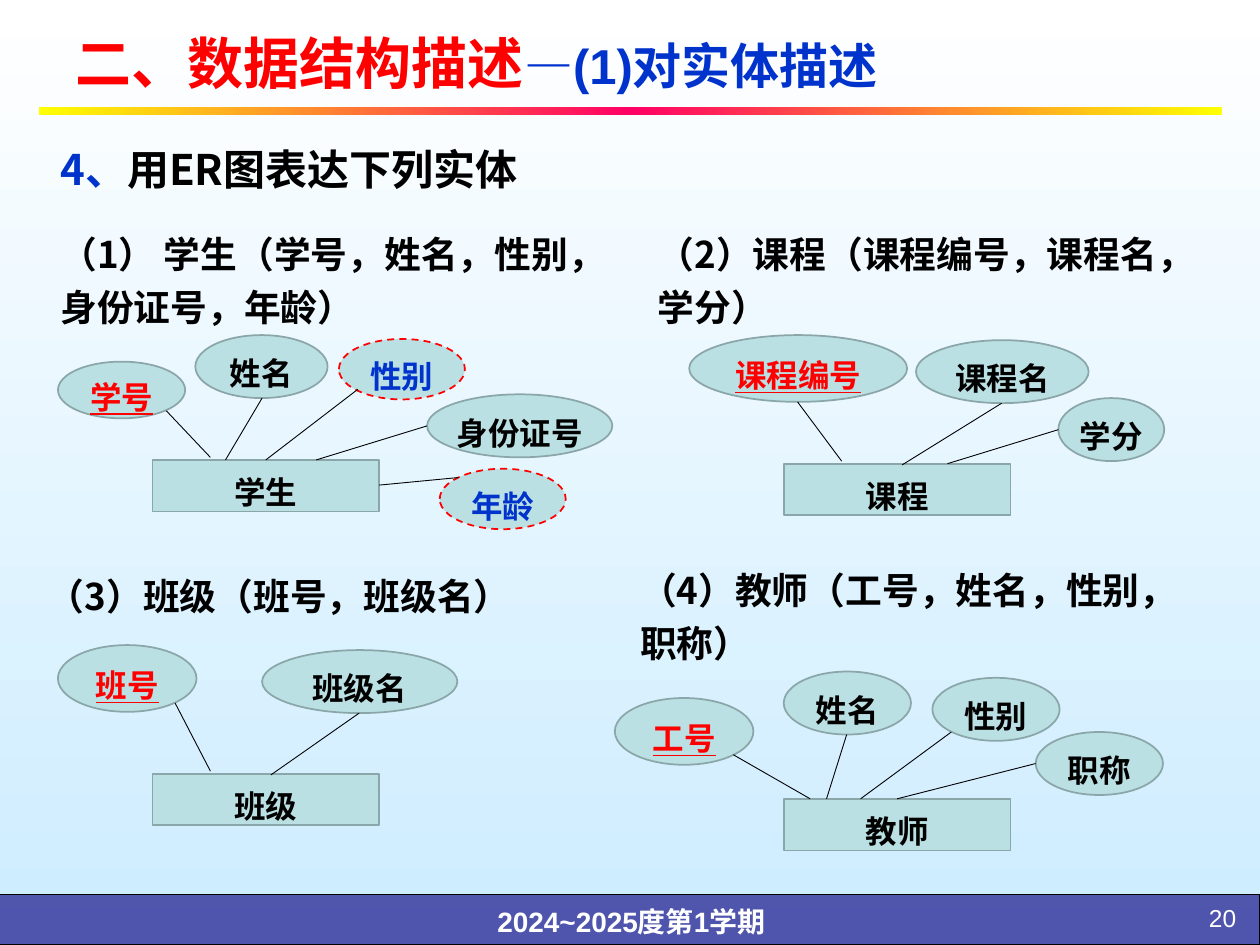
from copy import deepcopy
from lxml import etree
from pptx import Presentation
from pptx.dml.color import RGBColor
from pptx.enum.dml import MSO_LINE
from pptx.enum.shapes import MSO_CONNECTOR, MSO_SHAPE
from pptx.enum.text import MSO_ANCHOR, MSO_AUTO_SIZE, PP_ALIGN
from pptx.oxml.ns import qn
from pptx.util import Inches, Pt

RECT, OVAL = MSO_SHAPE.RECTANGLE, MSO_SHAPE.OVAL
LEFT, MID, RIGHT = PP_ALIGN.LEFT, PP_ALIGN.CENTER, PP_ALIGN.RIGHT
TOP, CENTER = MSO_ANCHOR.TOP, MSO_ANCHOR.MIDDLE
STRAIGHT, DASH, FIXED = MSO_CONNECTOR.STRAIGHT, MSO_LINE.DASH, MSO_AUTO_SIZE.NONE


class Theme:
    sans, cjk = "Arial", "Noto Sans CJK SC"
    head, sub, lead, body, node, foot, page = 32, 28, 24, 21, 18, 16, 14
    black, white, red, blue = "000000", "FFFFFF", "FF0000", "0033CC"
    fill, edge, band, sky = "BBE0E3", "8AA6A8", "333399", "CCECFF"
    glow = ["FFFF00", "FF0066", "FFFF00"]


deck = Presentation()
deck.slide_width, deck.slide_height = Inches(10), Inches(7.5)
cell = deck.slide_width / 100
slide = deck.slides.add_slide(deck.slide_layouts[4])
rgb = RGBColor.from_string


def grid(*nums):
    return [round(n * cell) for n in nums]


def write(shape, runs, size, face=Theme.cjk, align=LEFT, gap=1.0, anchor=TOP, bold=True, under=False):
    frame = shape.text_frame
    frame.auto_size, frame.word_wrap, frame.vertical_anchor = FIXED, True, anchor
    para = frame.paragraphs[0]
    para.alignment, para.line_spacing, para.space_before = align, gap, Pt(0)
    props = para._p.get_or_add_pPr()
    props.set("marL", "0")
    props.set("indent", "0")
    etree.SubElement(props, qn("a:buNone"))
    font = para.font
    font.name, font.size, font.bold, font.underline = face, Pt(size), bold, under
    etree.SubElement(props.find(qn("a:defRPr")), qn("a:ea")).set("typeface", Theme.cjk)
    for text, color, *scale in runs:
        run = para.add_run()
        run.text = text
        run.font.color.rgb = rgb(color)
        if scale:
            run.font.size = Pt(scale[0])


back = slide.background.fill
back.gradient()
back.gradient_angle = 270
for stop, color in zip(back.gradient_stops, [Theme.white, Theme.sky]):
    stop.color.rgb = rgb(color)

band = slide.shapes.add_shape(RECT, *grid(-0.1, 71, 100.1, 4))
band.shadow.inherit = False
band.fill.solid()
band.fill.fore_color.rgb = rgb(Theme.band)
tint = band._element.spPr.find(".//" + qn("a:srgbClr"))
etree.SubElement(tint, qn("a:alpha")).set("val", "81000")
band.line.color.rgb = rgb(Theme.black)
band.line.width = Pt(0.75)

rule = slide.shapes.add_shape(RECT, *grid(3.1, 8.5, 93.9, 0.6))
rule.shadow.inherit = False
rule.line.fill.background()
rule.fill.gradient()
rule.fill.gradient_angle = 0
stops = rule._element.spPr.find(".//" + qn("a:gsLst"))
stops.insert(1, deepcopy(stops[0]))
for i, stop in enumerate(rule.fill.gradient_stops):
    stop.position = i / 2
    stop.color.rgb = rgb(Theme.glow[i])

title = slide.shapes.title
title.left, title.top, title.width, title.height = grid(5, 1.1, 90, 7.6)
write(title, [("二、数据结构描述", Theme.red), ("—(1)对实体描述", Theme.blue, Theme.sub)],
      Theme.head, Theme.sans, anchor=CENTER)

lead = slide.shapes.add_textbox(*grid(3.8, 10.9, 57.9, 5))
write(lead, [("4、", Theme.blue), ("用ER图表达下列实体", Theme.black)], Theme.lead)
foot = slide.shapes.add_textbox(*grid(26.9, 70.8, 46.4, 4.2))
write(foot, [("2024~2025度第1学期", Theme.white)], Theme.foot, Theme.sans, MID, 1.2)
page = slide.shapes.add_textbox(*grid(89.4, 71.2, 9.7, 3))
write(page, [("20", Theme.white)], Theme.page, Theme.sans, RIGHT, bold=False)

tones = {"key": Theme.red, "opt": Theme.blue}
models = [
    ("（1） 学生（学号，姓名，性别，身份证号，年龄）", (3.8, 17.2, 42.9, 6.1), "学生", (12.1, 36.5), [
        ("学号", "key", (4.6, 28.7, 10.1, 4.5), (13.2, 32.6, 16.7, 36.3)),
        ("姓名", "", (15.5, 26.6, 10.5, 5), (20.8, 31.6, 17.9, 36.5)),
        ("性别", "opt", (26.9, 26.9, 10, 4.8), (28.4, 30.9, 21.1, 36.5)),
        ("身份证号", "", (33.9, 31.3, 14.7, 5), (33.9, 33.8, 25.1, 36.5)),
        ("年龄", "opt", (34.9, 37.2, 10, 4.8), (36.4, 37.9, 30.1, 38.5))]),
    ("（2）课程（课程编号，课程名，学分）", (51.2, 17.2, 44.6, 6.1), "课程", (62.2, 36.8), [
        ("课程编号", "key", (54.7, 26.6, 17.3, 5.3), (63.3, 31.9, 66.8, 36.6)),
        ("课程名", "", (72.7, 27, 13.7, 5), (79.5, 32, 71.6, 36.9)),
        ("学分", "", (84, 31.6, 8.4, 5), (84, 34.1, 75.2, 36.8))]),
    ("（3）班级（班号，班级名）", (2.8, 44.3, 54.6, 6.1), "班级", (12.1, 61.4), [
        ("班号", "key", (4.6, 51.2, 11, 5.3), (13.9, 55.8, 16.7, 61.2)),
        ("班级名", "", (20.8, 51.6, 15.5, 5), (28.5, 56.6, 21.5, 61.5))]),
    ("（4）教师（工号，姓名，性别，职称）", (49.8, 43.9, 44.4, 6.1), "教师", (62.2, 63.4), [
        ("工号", "key", (48.8, 55.4, 11, 5.3), (58.2, 59.9, 64.3, 63.4)),
        ("姓名", "", (62.2, 53.3, 10.1, 5), (67.2, 58.3, 65.6, 63.4)),
        ("性别", "", (74, 53.8, 10.1, 5), (75.5, 58.1, 68.3, 63.4)),
        ("职称", "", (82.2, 58.1, 10.1, 5), (82.2, 60.6, 71.2, 63.4))]),
]
bodies = [p for p in slide.placeholders if 1 <= p.placeholder_format.idx <= 4]

for body, (text, area, name, spot, attrs) in zip(bodies, models):
    body.left, body.top, body.width, body.height = grid(*area)
    write(body, [(text, Theme.black)], Theme.body, gap=1.2)
    group = slide.shapes.add_group_shape().shapes
    nodes = [(RECT, name, "", (*spot, 18, 4.1))] + [(OVAL, *a[:3]) for a in attrs]
    for form, label, kind, place in nodes:
        node = group.add_shape(form, *grid(*place))
        node.shadow.inherit = False
        node.fill.solid()
        node.fill.fore_color.rgb = rgb(Theme.fill)
        node.line.width = Pt(1)
        node.line.color.rgb = rgb(Theme.red if kind == "opt" else Theme.edge)
        if kind == "opt":
            node.line.dash_style = DASH
        node.text_frame.margin_left = node.text_frame.margin_right = 0
        write(node, [(label, tones.get(kind, Theme.black))], Theme.node, Theme.sans,
              MID, 1.35, CENTER, under=kind == "key")
    for *rest, ends in attrs:
        link = group.add_connector(STRAIGHT, *grid(*ends))
        link.line.color.rgb = rgb(Theme.black)
        link.line.width = Pt(0.5)
        etree.SubElement(link._element.spPr, qn("a:effectLst"))

deck.save("out.pptx")
